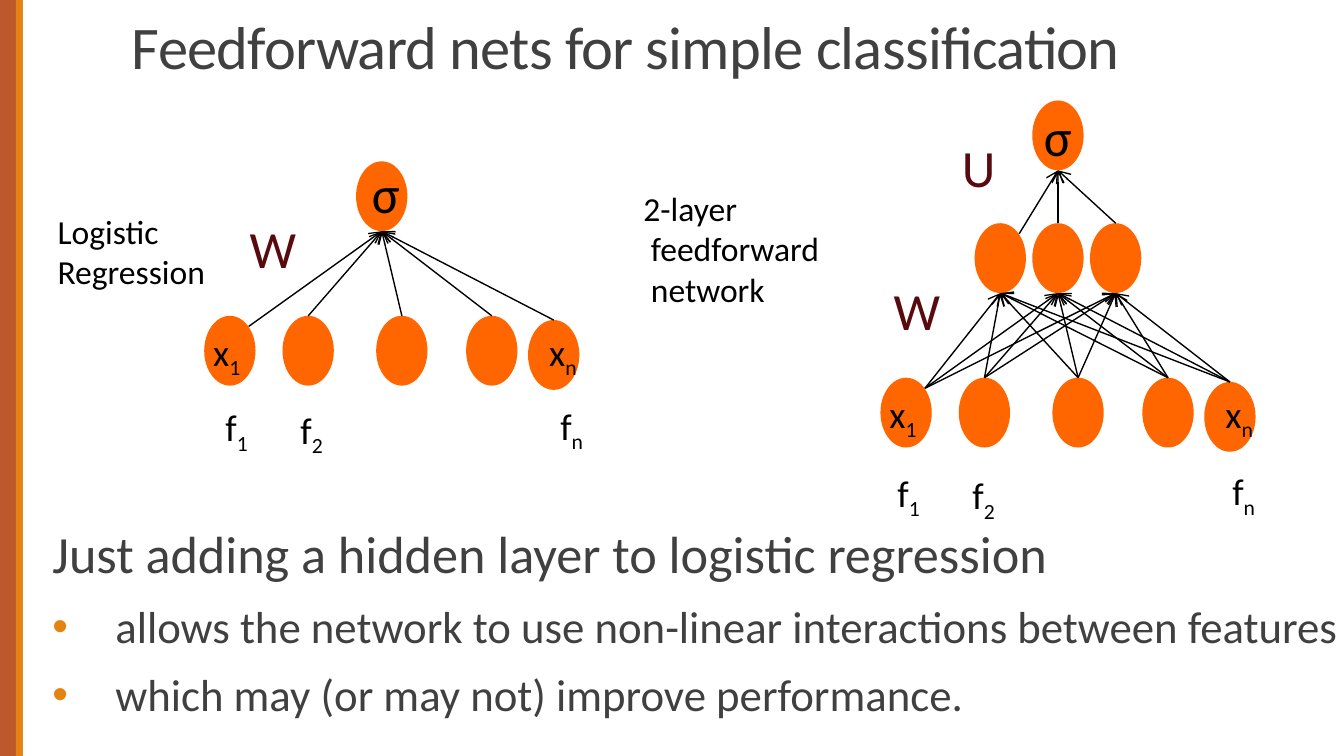
from dataclasses import dataclass
from itertools import product

from lxml import etree
from pptx import Presentation
from pptx.dml.color import RGBColor
from pptx.enum.shapes import MSO_CONNECTOR, MSO_SHAPE
from pptx.enum.text import MSO_ANCHOR, MSO_AUTO_SIZE, PP_ALIGN
from pptx.oxml.ns import qn
from pptx.util import Cm, Pt

OVAL, RECT = MSO_SHAPE.OVAL, MSO_SHAPE.RECTANGLE
LINE = MSO_CONNECTOR.STRAIGHT
TOP, BOTTOM = MSO_ANCHOR.TOP, MSO_ANCHOR.BOTTOM
FIXED = MSO_AUTO_SIZE.NONE
LEFT = PP_ALIGN.LEFT


@dataclass(frozen=True)
class Theme:
    face: str = "Calibri"
    rust: str = "BD582C"
    amber: str = "E48312"
    node: str = "FF6600"
    ink: str = "000000"
    gray: str = "404040"
    wine: str = "590A0E"
    title: float = 32.4
    lead: float = 28
    item: float = 24
    mark: float = 28
    label: float = 20
    note: float = 18


THEME = Theme()
NODE_W, NODE_H = 0.97, 1.32
INPUTS = [(0, 0), (1.48, 0), (3.25, 0), (4.95, 0), (6.12, 0.08)]
FEATS = [("1", 0, 0), ("2", 1.42, 0.05), ("n", 6.33, -0.03)]


def apply(item, values):
    for name, value in values.items():
        setattr(item, name, value)


def write(para, text, size, color):
    run = para.add_run()
    run.text = text
    apply(run.font, {"name": THEME.face, "size": Pt(size)})
    run.font.color.rgb = RGBColor.from_string(color)
    return run


def place(shape, x, y, w, h):
    apply(shape, {"left": Cm(x), "top": Cm(y), "width": Cm(w), "height": Cm(h)})


def add_form(slide, kind, box, color):
    form = slide.shapes.add_shape(kind, *map(Cm, box))
    form.shadow.inherit = False
    form.fill.solid()
    form.fill.fore_color.rgb = RGBColor.from_string(color)
    form.line.fill.background()


def add_node(slide, x, y):
    add_form(slide, OVAL, (x, y, NODE_W, NODE_H), THEME.node)


def add_arrow(slide, start, end):
    arrow = slide.shapes.add_connector(LINE, *map(Cm, start + end))
    arrow.line.width = Pt(0.75)
    arrow.line.color.rgb = RGBColor.from_string(THEME.ink)
    etree.SubElement(arrow.line._get_or_add_ln(), qn("a:tailEnd"), type="arrow")
    etree.SubElement(arrow._element.spPr, qn("a:effectLst"))


def add_text(slide, lines, box, size, color, sub=""):
    frame = slide.shapes.add_textbox(*map(Cm, box)).text_frame
    frame.word_wrap = True
    for i, line in enumerate(lines):
        para = frame.add_paragraph() if i else frame.paragraphs[0]
        write(para, line, size, color)
    if sub:
        run = write(para, sub, size, color)
        run._r.get_or_add_rPr().set("baseline", "-25000")


def add_label(slide, text, sub, x, y):
    add_text(slide, [text], (x, y, 1.4, 1.12), THEME.label, THEME.ink, sub)


def add_mark(slide, text, x, y, color):
    add_text(slide, [text], (x, y, 1.5, 1.45), THEME.mark, color)


def link(slide, lower, upper):
    starts = [(x + NODE_W / 2, y) for x, y in lower]
    x, y = lower[0]
    starts[0] = (x + 0.84, y + 0.2)
    ends = [(x + NODE_W / 2, y + NODE_H) for x, y in upper]
    for start, end in product(starts, ends):
        add_arrow(slide, start, end)


def add_net(slide, base, feat, hidden, out):
    x, y = base
    inputs = [(x + dx, y + dy) for dx, dy in INPUTS]
    layers = [inputs, hidden, [out]] if hidden else [inputs, [out]]
    for layer in layers:
        for spot in layer:
            add_node(slide, *spot)
    for lower, upper in zip(layers, layers[1:]):
        link(slide, lower, upper)
    add_label(slide, "x", "1", x - 0.08, y + 0.13)
    add_label(slide, "x", "n", x + 6.27, y + 0.13)
    for sub, dx, dy in FEATS:
        add_label(slide, "f", sub, feat[0] + dx, feat[1] + dy)


def fill_title(shape, text):
    place(shape, 2.24, -0.2, 20.96, 1.88)
    frame = shape.text_frame
    apply(frame, {"auto_size": FIXED, "vertical_anchor": BOTTOM})
    para = frame.paragraphs[0]
    apply(para, {"alignment": LEFT, "line_spacing": 0.85})
    run = write(para, text, THEME.title, THEME.gray)
    run._r.get_or_add_rPr().set("spc", "-40")


def set_bullet(para, on):
    props = para._p.get_or_add_pPr()
    indent = Cm(1.19) if on else 0
    props.set("marL", str(indent))
    props.set("indent", str(-indent))
    if on:
        tint = etree.SubElement(props, qn("a:buClr"))
        etree.SubElement(tint, qn("a:srgbClr"), val=THEME.amber)
        etree.SubElement(props, qn("a:buChar"), char="•")
    else:
        etree.SubElement(props, qn("a:buNone"))


def fill_body(shape, lines):
    place(shape, 0.99, 9.86, 24.31, 4.3)
    frame = shape.text_frame
    apply(frame, {"auto_size": FIXED, "vertical_anchor": TOP,
                  "margin_left": 0, "margin_right": 0})
    for i, line in enumerate(lines):
        para = frame.add_paragraph() if i else frame.paragraphs[0]
        apply(para, {"alignment": LEFT, "line_spacing": 0.9,
                     "space_before": Pt(9 if i else 0), "space_after": Pt(1.5)})
        set_bullet(para, i > 0)
        write(para, line, THEME.item if i else THEME.lead, THEME.gray)


def main():
    deck = Presentation()
    apply(deck, {"slide_width": Cm(25.4), "slide_height": Cm(14.29)})
    slide = deck.slides.add_slide(deck.slide_layouts[1])
    add_form(slide, RECT, (0, 0, 0.43, 14.29), THEME.rust)
    add_form(slide, RECT, (0.3, 0, 0.13, 14.29), THEME.amber)
    fill_title(slide.shapes.title, "Feedforward nets for simple classification")
    fill_body(slide.placeholders[1], [
        "Just adding a hidden layer to logistic regression",
        "allows the network to use non-linear interactions between features",
        "which may (or may not) improve performance.",
    ])
    hidden = [(18.42 + 1.09 * i, 4.22) for i in range(3)]
    add_net(slide, (16.64, 7.14), (16.71, 8.76), hidden, (19.51, 1.9))
    add_net(slide, (3.86, 5.97), (4.01, 7.52), [], (6.73, 3.05))
    for text, x, y, color in [
        ("U", 17.93, 2.44, THEME.wine),
        ("W", 16.64, 5.13, THEME.wine),
        ("W", 4.47, 3.96, THEME.wine),
        ("σ", 19.48, 1.85, THEME.ink),
        ("σ", 6.78, 2.92, THEME.ink),
    ]:
        add_mark(slide, text, x, y, color)
    add_text(slide, ["Logistic", "Regression"], (0.84, 3.86, 3.5, 1.8),
             THEME.note, THEME.ink)
    add_text(slide, ["2-layer", " feedforward", " network"],
             (11.91, 3.43, 4.1, 2.57), THEME.note, THEME.ink)
    deck.save("out.pptx")


if __name__ == "__main__":
    main()
